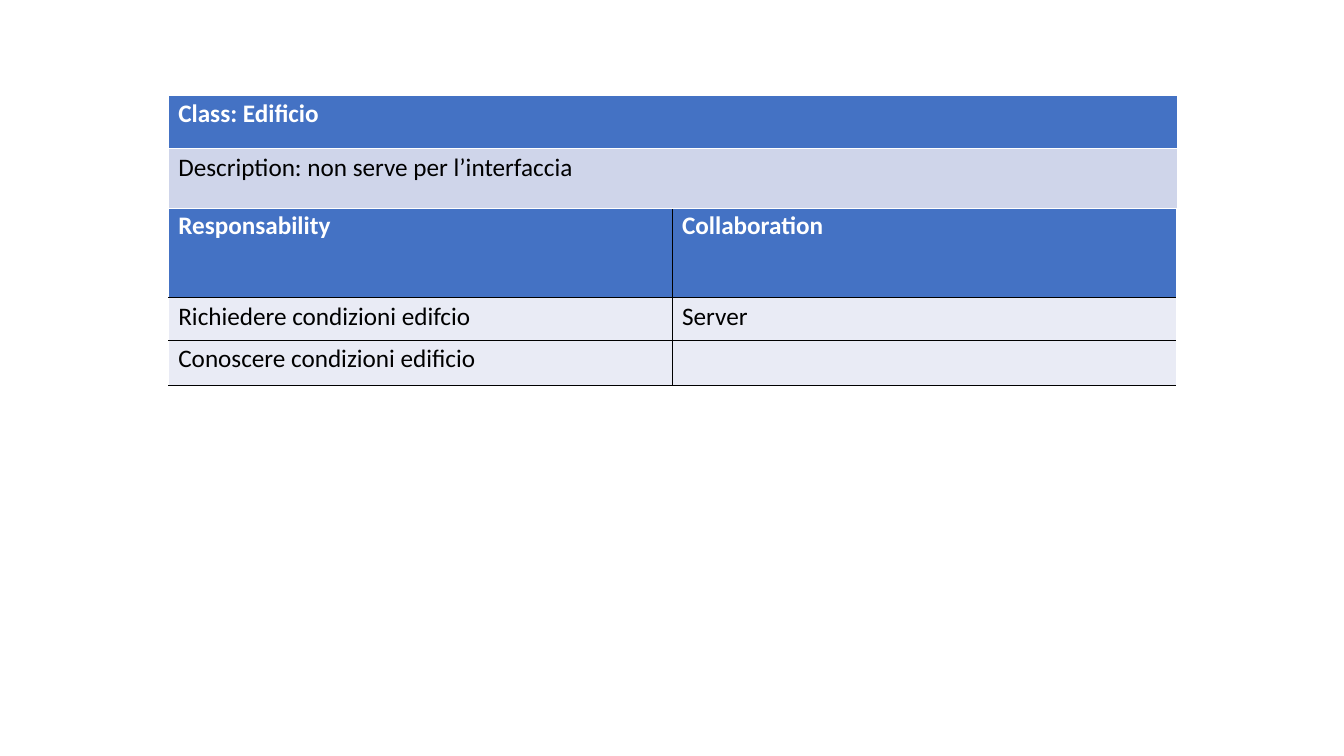
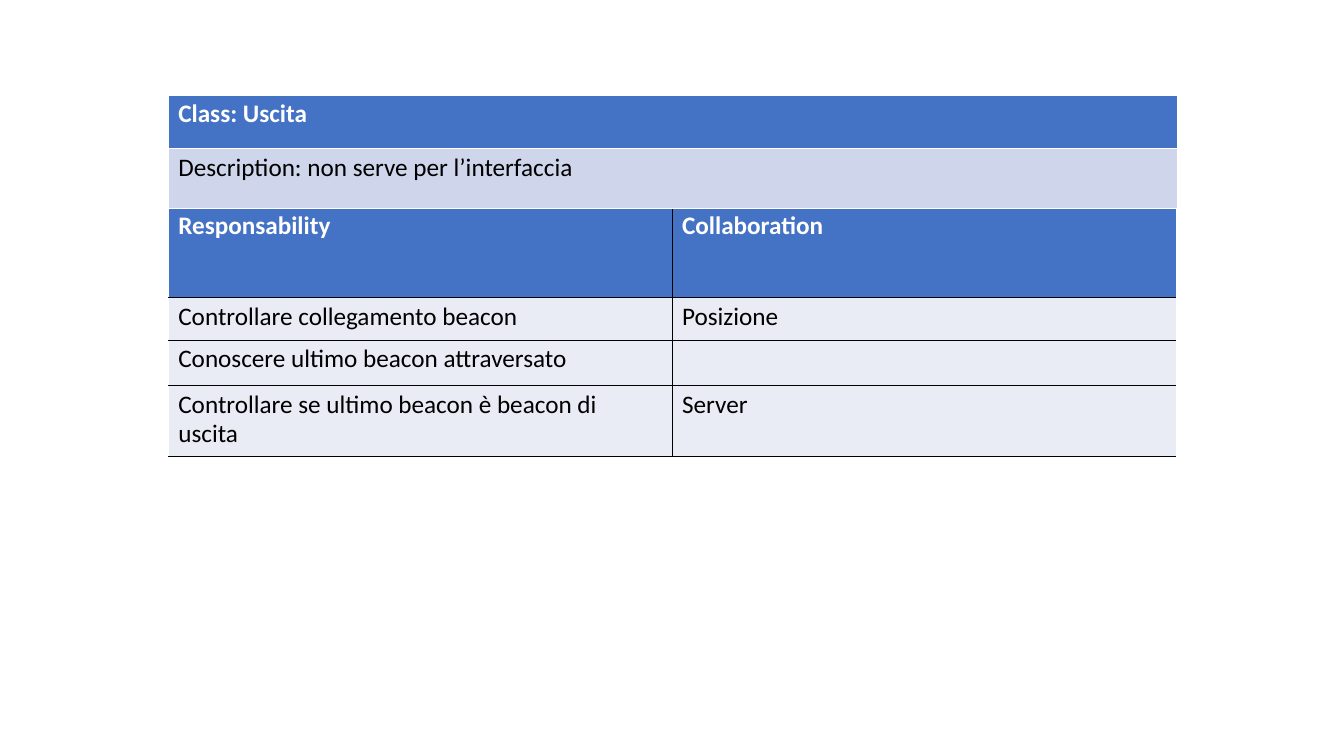
from lxml.etree import SubElement
from pptx import Presentation
from pptx.dml.color import RGBColor
from pptx.oxml.ns import qn
from pptx.util import Inches, Pt

COLORS = {
    "header": "4472C4",
    "description": "CFD5EA",
    "body": "E9EBF5",
    "white": "FFFFFF",
    "black": "000000",
}
FONT = "Calibri"
LEFT, TOP = 1.67, 0.94
HEAD_HEIGHTS = [0.53, 0.59]
BODY_TOP = 2.05
BODY_HEIGHTS = [0.9, 0.42, 0.45, 0.7]

CARDS = [
    ("Edificio", [
        ("Richiedere condizioni edifcio", "Server"),
        ("Conoscere condizioni edificio", ""),
    ]),
    ("Uscita", [
        ("Controllare collegamento beacon", "Posizione"),
        ("Conoscere ultimo beacon attraversato", ""),
        ("Controllare se ultimo beacon è beacon di uscita", "Server"),
    ]),
]


def set_border(cell, side, color, width):
    ln = SubElement(cell._tc.get_or_add_tcPr(), qn(f"a:ln{side}"), w=str(int(Pt(width))))
    fill = SubElement(ln, qn("a:solidFill"))
    SubElement(fill, qn("a:srgbClr"), val=COLORS[color])


def add_card_table(s, top, width, heights, rows, row_fill, rule, rule_width, bottom):
    cols = len(rows[0])
    frame = s.shapes.add_table(len(rows), cols, Inches(LEFT), Inches(top),
                               Inches(width), Inches(sum(heights)))
    table = frame.table
    table.first_row = False
    table.horz_banding = False
    for col in table.columns:
        col.width = Inches(width / cols)
    for i, (texts, height) in enumerate(zip(rows, heights)):
        table.rows[i].height = Inches(height)
        for j, text in enumerate(texts):
            cell = table.cell(i, j)
            last = i == len(rows) - 1
            set_border(cell, "L", rule if j else "white", 0.06)
            set_border(cell, "R", rule if j < cols - 1 else "white", 0.06)
            set_border(cell, "T", rule if i else "white", rule_width if i else 0.06)
            set_border(cell, "B", bottom if last else rule, 0.06 if last else rule_width)
            cell.fill.solid()
            cell.fill.fore_color.rgb = RGBColor.from_string(COLORS[row_fill if i else "header"])
            p = cell.text_frame.paragraphs[0]
            p.text = text
            p.line_spacing = 0.94
            for r in p.runs:
                r.font.name = FONT
                r.font.size = Pt(18)
                r.font.bold = i == 0
                r.font.color.rgb = RGBColor.from_string(COLORS["black" if i else "white"])


prs = Presentation()
prs.slide_width = Inches(13.34)
prs.slide_height = Inches(7.5)

for name, duties in CARDS:
    s = prs.slides.add_slide(prs.slide_layouts[6])
    body = [("Responsability", "Collaboration")] + duties
    add_card_table(s, BODY_TOP, 10, BODY_HEIGHTS[:len(body)], body,
                   "body", "black", 0.06, "black")
    head = [(f"Class: {name}",), ("Description: non serve per l’interfaccia",)]
    add_card_table(s, TOP, 10.01, HEAD_HEIGHTS, head,
                   "description", "white", 0.17, "white")

prs.save("out.pptx")
